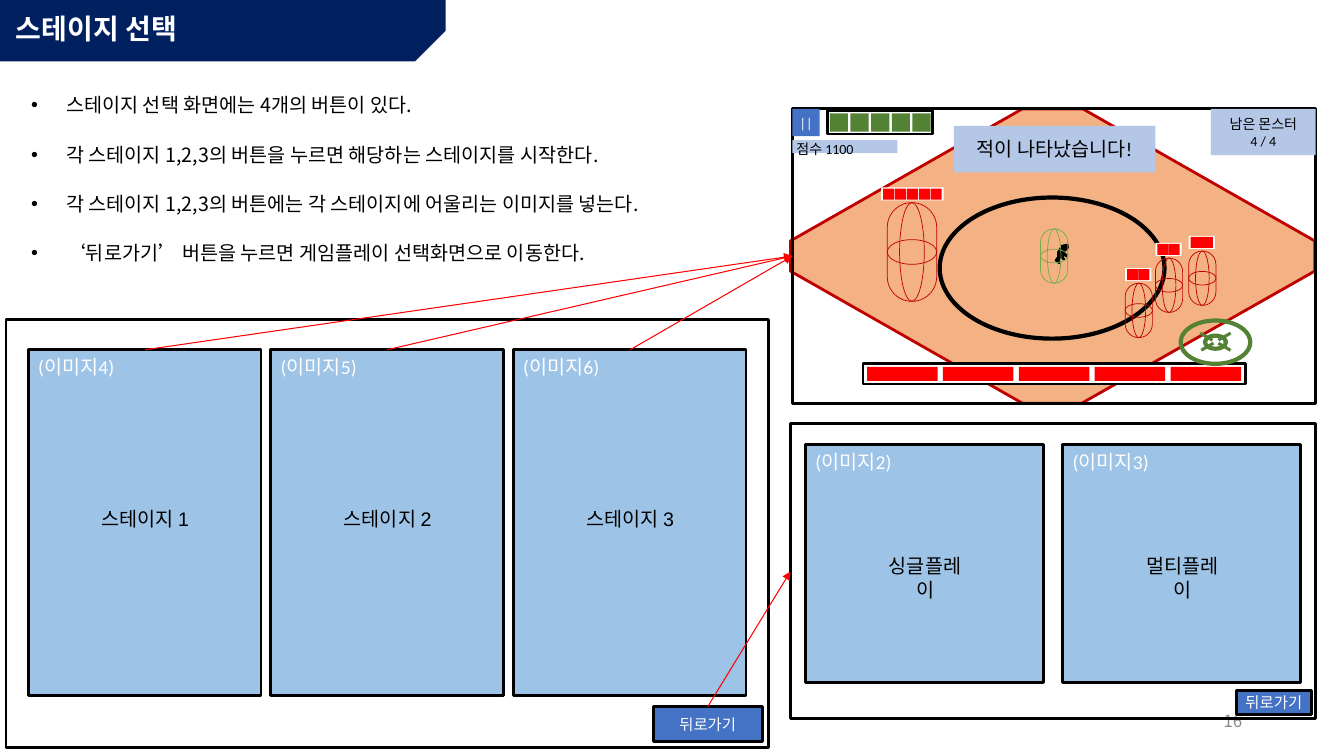
from dataclasses import dataclass
from typing import Optional

from lxml.etree import SubElement
from pptx import Presentation
from pptx.dml.color import RGBColor
from pptx.enum.shapes import MSO_CONNECTOR as Connector, MSO_SHAPE as Preset
from pptx.enum.text import MSO_ANCHOR as Anchor, PP_ALIGN as Align
from pptx.oxml.ns import qn
from pptx.shapes.autoshape import Shape
from pptx.slide import Slide
from pptx.util import Inches, Pt


@dataclass(frozen=True)
class Theme:
    navy: str = "002060"
    black: str = "000000"
    white: str = "FFFFFF"
    grey: str = "888888"
    card: str = "9DC3E6"
    button: str = "4472C4"
    notice: str = "B4C7E7"
    ground: str = "F4B183"
    monster: str = "C00000"
    player: str = "70AD47"
    ammo: str = "548235"
    red: str = "FF0000"
    body_font: str = "Noto Sans CJK KR"
    label_font: str = "Calibri"
    name_font: str = "Arial"
    title_size: int = 20
    text_size: int = 14
    page_size: int = 12
    button_size: int = 11
    small_size: int = 10


THEME = Theme()


@dataclass(frozen=True)
class Area:
    left: float
    top: float
    width: float
    height: float


@dataclass(frozen=True)
class Style:
    fill: Optional[str] = None
    line: Optional[str] = None
    weight: float = 2


@dataclass(frozen=True)
class Type:
    size: int = THEME.text_size
    font: str = THEME.label_font
    color: str = THEME.black
    align: Align = Align.CENTER
    anchor: Anchor = Anchor.MIDDLE
    side: float = 0.1
    edge: float = 0.05
    wrap: bool = True
    bold: bool = False
    spacing: float = 1.0


@dataclass(frozen=True)
class Meter:
    plate: Area
    count: int
    cell_width: float
    cell_height: float
    margin: float
    color: str = THEME.red
    line: Optional[str] = None


@dataclass(frozen=True)
class Capsule:
    area: Area
    color: str = THEME.monster


FRAME = Style(line=THEME.black)
CARD = Style(THEME.card, THEME.black)
BUTTON = Style(THEME.button, THEME.black)
NOTICE = Style(THEME.notice)
IMAGE_TYPE = Type(color=THEME.white, align=Align.LEFT, anchor=Anchor.TOP)
NAME_TYPE = Type(font=THEME.name_font, anchor=Anchor.TOP)
BUTTON_TYPE = Type(THEME.button_size, color=THEME.white, side=0, edge=0)
RULES = [
    "스테이지 선택 화면에는 4개의 버튼이 있다.",
    "각 스테이지 1,2,3의 버튼을 누르면 해당하는 스테이지를 시작한다.",
    "각 스테이지 1,2,3의 버튼에는 각 스테이지에 어울리는 이미지를 넣는다.",
    "‘뒤로가기’ 버튼을 누르면 게임플레이 선택화면으로 이동한다.",
]
FIELD = [(10.14, 1.08), (10.74, 1.08), (13.04, 2.39), (13.04, 2.69),
         (10.73, 4), (10.14, 4), (7.84, 2.69), (7.84, 2.39)]
RIFLE = [(10.57, 2.56), (10.58, 2.55), (10.56, 2.52), (10.57, 2.51), (10.61, 2.5),
         (10.62, 2.49), (10.63, 2.46), (10.6, 2.45), (10.57, 2.44), (10.5, 2.48),
         (10.49, 2.5), (10.48, 2.52), (10.44, 2.54), (10.45, 2.57), (10.46, 2.59),
         (10.47, 2.59), (10.47, 2.57), (10.49, 2.55), (10.51, 2.54), (10.51, 2.57),
         (10.53, 2.58), (10.53, 2.55), (10.54, 2.54), (10.56, 2.57)]


def apply_style(shape: Shape, style: Style) -> None:
    shape.shadow.inherit = False
    if style.fill:
        shape.fill.solid()
        shape.fill.fore_color.rgb = RGBColor.from_string(style.fill)
    else:
        shape.fill.background()
    if style.line:
        shape.line.color.rgb = RGBColor.from_string(style.line)
        shape.line.width = Pt(style.weight)
    else:
        shape.line.fill.background()


def draw_shape(page: Slide, area: Area, style: Style, preset: Preset = Preset.RECTANGLE,
               rotation: float = 0) -> Shape:
    shape = page.shapes.add_shape(preset, Inches(area.left), Inches(area.top),
                                  Inches(area.width), Inches(area.height))
    apply_style(shape, style)
    shape.rotation = rotation
    return shape


def draw_outline(page: Slide, points: list[tuple[float, float]], style: Style) -> Shape:
    corners = [(Inches(x), Inches(y)) for x, y in points]
    builder = page.shapes.build_freeform(*corners[0])
    builder.add_line_segments(corners[1:])
    shape = builder.convert_to_shape()
    apply_style(shape, style)
    return shape


def write(box: Shape, lines: list[str], kind: Type, bulleted: bool = False) -> None:
    frame = box.text_frame
    frame.word_wrap = kind.wrap
    frame.vertical_anchor = kind.anchor
    frame.margin_left = frame.margin_right = Inches(kind.side)
    frame.margin_top = frame.margin_bottom = Inches(kind.edge)
    for index, line in enumerate(lines):
        para = frame.paragraphs[0] if index == 0 else frame.add_paragraph()
        para.text = line
        para.alignment = kind.align
        para.line_spacing = kind.spacing
        if bulleted:
            if index:
                para.space_before = Pt(10)
            properties = para._p.get_or_add_pPr()
            properties.set("marL", str(Inches(0.5)))
            properties.set("indent", str(Inches(-0.35)))
            SubElement(properties, qn("a:buFont")).set("typeface", "Arial")
            SubElement(properties, qn("a:buChar")).set("char", "•")
        para.font.name = kind.font
        para.font.size = Pt(kind.size)
        para.font.bold = kind.bold
        para.font.color.rgb = RGBColor.from_string(kind.color)


def add_text(page: Slide, area: Area, lines: list[str], kind: Type, bulleted: bool = False) -> None:
    box = page.shapes.add_textbox(Inches(area.left), Inches(area.top),
                                  Inches(area.width), Inches(area.height))
    write(box, lines, kind, bulleted)


def draw_meter(page: Slide, meter: Meter) -> None:
    """Draw a white plate with evenly spread cells."""
    plate = meter.plate
    draw_shape(page, plate, Style(THEME.white, meter.line))
    pitch = (plate.width - 2 * meter.margin - meter.cell_width) / (meter.count - 1)
    top = plate.top + (plate.height - meter.cell_height) / 2
    for index in range(meter.count):
        left = plate.left + meter.margin + index * pitch
        draw_shape(page, Area(left, top, meter.cell_width, meter.cell_height), Style(meter.color))


def draw_capsule(page: Slide, capsule: Capsule) -> None:
    area, style = capsule.area, Style(line=capsule.color, weight=0.5)
    half = area.width / 2
    draw_shape(page, area, style, Preset.ROUNDED_RECTANGLE).adjustments[0] = 0.5
    draw_shape(page, Area(area.left + half / 2, area.top, half, area.height), style, Preset.OVAL)
    draw_shape(page, Area(area.left, area.top + (area.height - half) / 2, area.width, half),
               style, Preset.OVAL)


def draw_arrow(page: Slide, start: tuple[float, float], end: tuple[float, float]) -> None:
    arrow = page.shapes.add_connector(Connector.STRAIGHT, *map(Inches, start + end))
    arrow.line.color.rgb = RGBColor.from_string(THEME.red)
    arrow.line.width = Pt(0.75)
    SubElement(arrow.line._get_or_add_ln(), qn("a:tailEnd")).set("type", "triangle")
    SubElement(arrow._element.spPr, qn("a:effectLst"))


def draw_header(page: Slide) -> None:
    banner = draw_shape(page, Area(0, 0, 4.42, 0.61), Style(THEME.navy),
                        Preset.SNIP_1_RECTANGLE, 180)
    banner.adjustments[0] = 0.5
    banner._element.spPr.xfrm.set("flipH", "1")
    add_text(page, Area(9.42, 6.95, 3, 0.4), ["16"],
             Type(THEME.page_size, THEME.body_font, THEME.grey, Align.RIGHT))
    add_text(page, Area(0.06, 0.07, 4.03, 0.46), ["스테이지 선택"],
             Type(THEME.title_size, THEME.body_font, THEME.white, Align.LEFT, bold=True, spacing=0.9))


def draw_button(page: Slide, area: Area) -> None:
    write(draw_shape(page, area, BUTTON), ["뒤로가기"], BUTTON_TYPE)


def draw_stage_menu(page: Slide) -> None:
    draw_shape(page, Area(0.06, 3.17, 7.56, 4.25), FRAME)
    for index in range(3):
        left = 0.28 + index * 2.405
        card = draw_shape(page, Area(left, 3.47, 2.31, 3.43), CARD)
        write(card, [f"(이미지{index + 4})"], IMAGE_TYPE)
        add_text(page, Area(left + 0.44, 4.98, 1.44, 0.4), [f"스테이지 {index + 1}"], NAME_TYPE)
    draw_button(page, Area(6.48, 7.01, 1.08, 0.35))
    add_text(page, Area(0.06, 0.76, 13.17, 6.11), RULES,
             Type(font=THEME.body_font, align=Align.LEFT, anchor=Anchor.TOP, spacing=1.5), True)


def draw_game(page: Slide) -> None:
    draw_outline(page, FIELD, Style(THEME.ground, THEME.monster))
    draw_shape(page, Area(9.32, 1.96, 2.23, 1.4), Style(line=THEME.black, weight=3), Preset.OVAL)
    draw_shape(page, Area(7.86, 1.08, 5.19, 2.92), FRAME)
    draw_outline(page, RIFLE, Style(THEME.black, THEME.black, 0.5)).rotation = 331.3
    draw_capsule(page, Capsule(Area(10.32, 2.27, 0.27, 0.54), THEME.player))
    small = Type(THEME.small_size)
    for area, style, lines, kind in [
        (Area(12.01, 1.08, 1.04, 0.46), NOTICE, ["남은 몬스터", "4 / 4"], small),
        (Area(7.86, 1.08, 0.27, 0.27), Style(THEME.button), ["||"],
         Type(THEME.small_size, color=THEME.white, side=0, edge=0)),
        (Area(9.46, 1.25, 2, 0.46), NOTICE, ["적이 나타났습니다!"], Type()),
        (Area(7.86, 1.39, 1.04, 0.13), NOTICE, ["점수 1100"],
         Type(THEME.small_size, align=Align.LEFT, anchor=Anchor.TOP, side=0.04, edge=0)),
    ]:
        write(draw_shape(page, area, style), lines, kind)
    draw_meter(page, Meter(Area(8.21, 1.1, 1.04, 0.23), 5, 0.18, 0.18, 0.02, THEME.ammo, THEME.black))
    draw_meter(page, Meter(Area(8.56, 3.61, 3.79, 0.2), 5, 0.7, 0.14, 0.04, line=THEME.black))
    for left, top in [(11.46, 2.56), (11.79, 2.49), (11.16, 2.81)]:
        draw_capsule(page, Capsule(Area(left, top, 0.27, 0.54)))
        draw_meter(page, Meter(Area(left, top - 0.15, 0.26, 0.13), 2, 0.11, 0.11, 0.02))
    draw_capsule(page, Capsule(Area(8.8, 2.01, 0.49, 0.98)))
    draw_meter(page, Meter(Area(8.74, 1.86, 0.62, 0.13), 5, 0.11, 0.11, 0.02))
    for area in [Area(11.71, 3.18, 0.69, 0.43), Area(11.95, 3.33, 0.21, 0.13)]:
        draw_shape(page, area, Style(line=THEME.ammo, weight=3), Preset.OVAL)
    for left, top, turn in [(11.95, 3.27, 300), (11.96, 3.37, 60), (12.13, 3.27, 60), (12.13, 3.37, 300)]:
        draw_shape(page, Area(left, top, 0.03, 0.14), Style(THEME.ammo), rotation=turn)


def draw_mode_menu(page: Slide) -> None:
    draw_shape(page, Area(7.84, 4.2, 5.21, 2.93), FRAME)
    for index, name in enumerate(["싱글플레이", "멀티플레이"]):
        left = 7.99 + index * 2.55
        card = draw_shape(page, Area(left, 4.41, 2.36, 2.36), CARD)
        write(card, [f"(이미지{index + 2})"], IMAGE_TYPE)
        add_text(page, Area(left + 0.68, 5.45, 1.01, 0.28), [name], NAME_TYPE)
    draw_button(page, Area(12.26, 6.85, 0.75, 0.24))


def main() -> None:
    deck = Presentation()
    deck.slide_width, deck.slide_height = Inches(13.33), Inches(7.5)
    page = deck.slides.add_slide(deck.slide_layouts[6])
    draw_header(page)
    draw_stage_menu(page)
    draw_game(page)
    draw_mode_menu(page)
    for start in [1.44, 3.84, 6.25]:
        draw_arrow(page, (start, 3.47), (7.86, 2.54))
    draw_arrow(page, (7.02, 7.01), (7.84, 5.67))
    deck.save("out.pptx")


if __name__ == "__main__":
    main()
